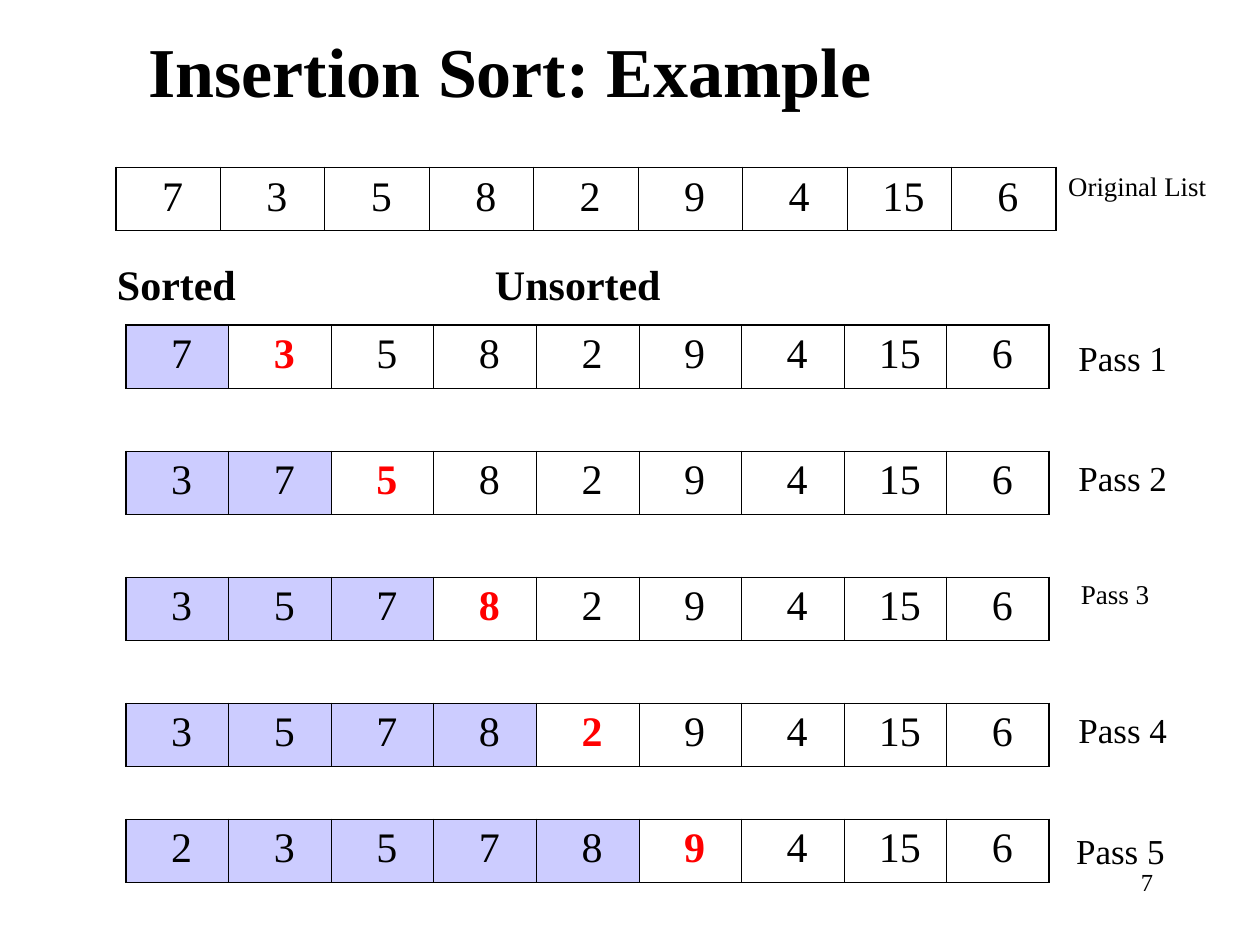
from lxml import etree
from pptx import Presentation
from pptx.dml.color import RGBColor
from pptx.enum import text
from pptx.oxml import ns
from pptx.util import Inches, Pt

FONT = "Times New Roman"
BLACK, RED, LAVENDER = "000000", "FF0000", "CCCCFF"
THIN, THICK = 0.45, 1.08

TITLE = "Insertion Sort: Example"
NUMBERS = [7, 3, 5, 8, 2, 9, 4, 15, 6]
PASS_TOPS = [2.58, 3.58, 4.58, 5.58, 6.5]
INSET = (0.1, 0.05)
FLUSH = (0, 0)
PASS_LABELS = [
    ("Pass 1", (8.56, 2.67, 1.17, 0.38), 20, FLUSH, None),
    ("Pass 2", (8.56, 3.62, 0.94, 0.38), 20, FLUSH, None),
    ("Pass 3", (8.48, 4.58, 0.94, 0.38), 15.5, INSET, 0.8),
    ("Pass 4", (8.56, 5.62, 0.94, 0.38), 20, FLUSH, None),
    ("Pass 5", (8.54, 6.58, 0.71, 0.38), 20, FLUSH, None),
]
ORIGINAL_LABEL = ("Original List", (8.38, 1.33, 1.54, 0.38), 15.3, INSET, 0.9)
HEADINGS = [("Sorted", 0.83), ("Unsorted", 3.83)]
SLIDE_NUMBER = ("7", (7.17, 6.83, 2.08, 0.5), 14, INSET, None)


def color(code):
    return RGBColor.from_string(code)


def style(paragraph, size, code=BLACK, bold=False, align=text.PP_ALIGN.LEFT):
    paragraph.alignment = align
    font = paragraph.font
    font.name, font.size, font.bold = FONT, Pt(size), bold
    font.color.rgb = color(code)


def fit_frame(frame, inset, grow=False):
    frame.word_wrap = True
    frame.vertical_anchor = text.MSO_ANCHOR.TOP
    frame.margin_left = frame.margin_right = Inches(inset[0])
    frame.margin_top = frame.margin_bottom = Inches(inset[1])
    sizing = text.MSO_AUTO_SIZE
    frame.auto_size = sizing.SHAPE_TO_FIT_TEXT if grow else sizing.NONE


def add_label(slide, words, box, size, inset, spacing, grow=False, **look):
    frame = slide.shapes.add_textbox(*map(Inches, box)).text_frame
    fit_frame(frame, inset, grow)
    paragraph = frame.paragraphs[0]
    paragraph.text = words
    style(paragraph, size, **look)
    if spacing:
        paragraph.line_spacing = spacing
    return paragraph


def set_borders(cell, widths):
    properties = cell._tc.get_or_add_tcPr()
    for side, width in zip("LRTB", widths):
        line = etree.SubElement(properties, ns.qn(f"a:ln{side}"), w=str(Pt(width)))
        fill = etree.SubElement(line, ns.qn("a:solidFill"))
        etree.SubElement(fill, ns.qn("a:srgbClr"), val=BLACK)


def add_list(slide, values, left, top, width, sorted_count=0, top_line=THIN):
    box = map(Inches, (left, top, width, 0.5))
    table = slide.shapes.add_table(1, len(values), *box).table
    table.first_row = table.horz_banding = False
    last = len(values) - 1
    for index, value in enumerate(values):
        table.columns[index].width = Inches(width / len(values))
        cell = table.cell(0, index)
        cell.margin_left, cell.margin_right = Inches(0.17), Inches(0.1)
        cell.margin_top = cell.margin_bottom = Inches(0.05)
        set_borders(cell, (THICK if index == 0 else THIN,
                           THICK if index == last else THIN, top_line, THIN))
        if index < sorted_count:
            cell.fill.solid()
            cell.fill.fore_color.rgb = color(LAVENDER)
        else:
            cell.fill.background()
        is_next = 0 < sorted_count == index
        paragraph = cell.text_frame.paragraphs[0]
        paragraph.text = str(value)
        paragraph.space_before = Pt(6)
        style(paragraph, 24, RED if is_next else BLACK, is_next,
              text.PP_ALIGN.CENTER)


def main():
    deck = Presentation()
    deck.slide_width, deck.slide_height = Inches(10), Inches(7.5)
    slide = deck.slides.add_slide(deck.slide_layouts[5])

    title = slide.shapes.title
    title.left, title.top, title.width, title.height = map(
        Inches, (1.08, 0.17, 8.29, 0.77))
    title.text_frame.text = TITLE
    fit_frame(title.text_frame, INSET, grow=True)
    style(title.text_frame.paragraphs[0], 40, bold=True)

    add_list(slide, NUMBERS, 0.92, 1.33, 7.46, top_line=THICK)
    for count, top in enumerate(PASS_TOPS, 1):
        values = sorted(NUMBERS[:count]) + NUMBERS[count:]
        add_list(slide, values, 1, top, 7.33, count,
                 THICK if count == 1 else THIN)

    for label in [ORIGINAL_LABEL, *PASS_LABELS]:
        add_label(slide, *label)
    for words, left in HEADINGS:
        heading = add_label(slide, words, (left, 2, 1.58, 0.5), 24, INSET,
                            None, grow=True, bold=True)
        heading.space_before = Pt(15)
    add_label(slide, *SLIDE_NUMBER, align=text.PP_ALIGN.RIGHT)

    deck.save("out.pptx")


if __name__ == "__main__":
    main()
